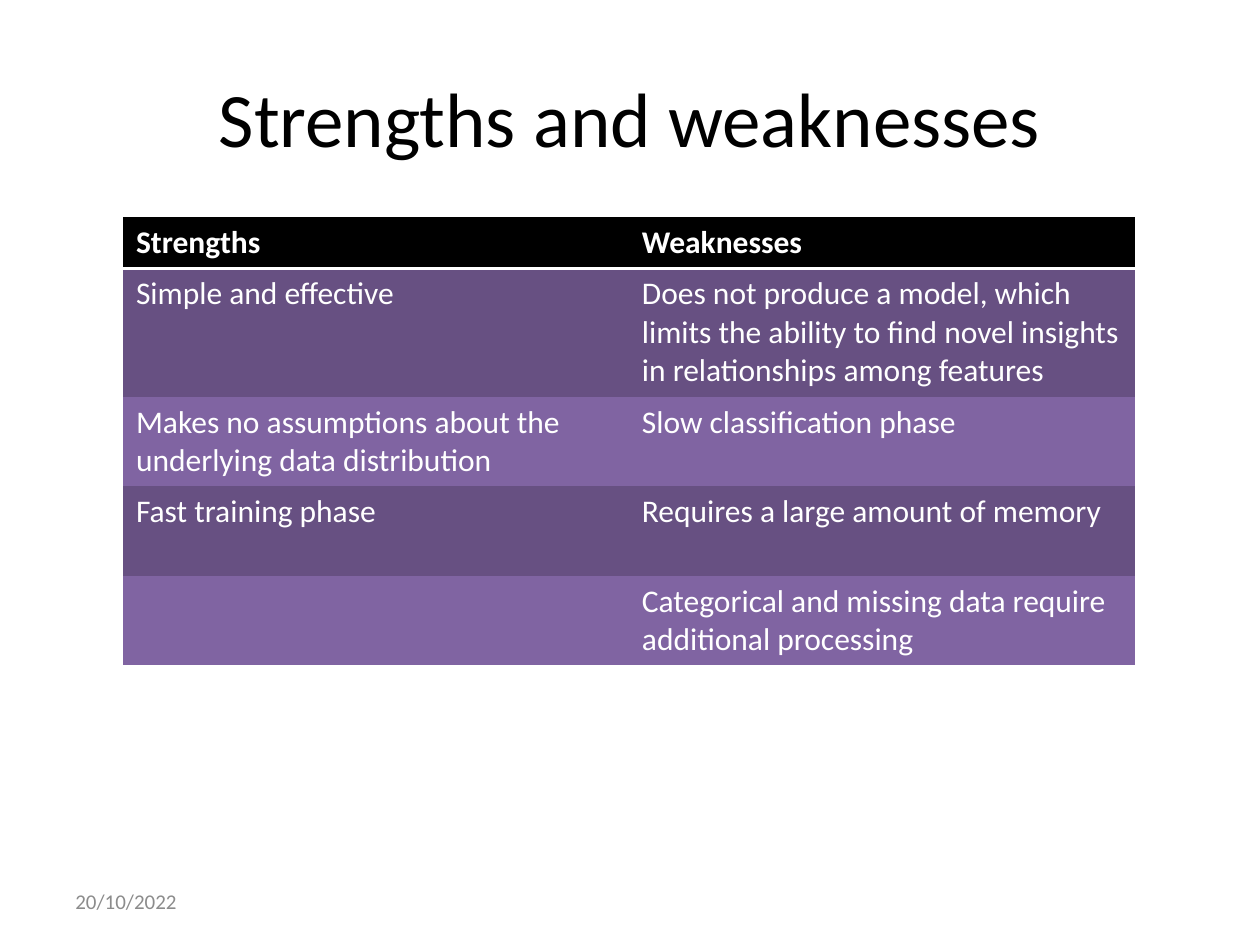
from lxml import etree
from pptx import Presentation
from pptx.dml.color import RGBColor
from pptx.enum.text import MSO_ANCHOR, PP_ALIGN
from pptx.oxml.ns import qn
from pptx.util import Inches, Pt

MIDDLE = MSO_ANCHOR.MIDDLE
LEFT, CENTER = PP_ALIGN.LEFT, PP_ALIGN.CENTER
FONT = "Calibri"
WHITE, BLACK, GREY = "FFFFFF", "000000", "8C8C8C"
BANDS = ["675082", "8064A2"]
NO_GRID = "{2D5ABB26-0587-4C30-8999-92F81FD0307C}"
ROWS = [
    (0.41, "Strengths", "Weaknesses"),
    (1.02, "Simple and effective",
     "Does not produce a model, which limits the ability to find novel "
     "insights in relationships among features"),
    (0.71, "Makes no assumptions about the underlying data distribution",
     "Slow classification phase"),
    (0.71, "Fast training phase", "Requires a large amount of memory"),
    (0.71, "", "Categorical and missing data require additional processing"),
]


def color(code):
    return RGBColor.from_string(code)


def write(frame, text, size, code, align=LEFT, bold=False):
    line = frame.paragraphs[0]
    line.alignment = align
    run = line.add_run()
    run.text = text
    font = run.font
    font.name, font.size, font.bold = FONT, Pt(size), bold
    font.color.rgb = color(code)


def add_title(slide, text):
    title = slide.shapes.title
    title.left, title.top = Inches(0.5), Inches(0.3)
    title.width, title.height = Inches(9), Inches(1.25)
    title.text_frame.vertical_anchor = MIDDLE
    write(title.text_frame, text, 44, BLACK, CENTER)


def add_date(slide, text):
    box = slide.shapes.add_textbox(
        Inches(0.5), Inches(6.95), Inches(2.33), Inches(0.4))
    frame = box.text_frame
    frame.word_wrap = True
    frame.vertical_anchor = MIDDLE
    write(frame, text, 12, GREY)


def rule_below(cell, code, width):
    props = cell._tc.get_or_add_tcPr()
    line = etree.Element(qn("a:lnB"), w=str(Pt(width)))
    fill = etree.SubElement(line, qn("a:solidFill"))
    etree.SubElement(fill, qn("a:srgbClr"), val=code)
    props.insert(0, line)


def add_grid(slide, rows):
    total = sum(row[0] for row in rows)
    table = slide.shapes.add_table(
        len(rows), 2, Inches(0.98), Inches(1.72),
        Inches(8.03), Inches(total)).table
    table.horz_banding = False
    table._tbl.tblPr.find(qn("a:tableStyleId")).text = NO_GRID
    for i, (height, *texts) in enumerate(rows):
        head = i == 0
        table.rows[i].height = Inches(height)
        for j, text in enumerate(texts):
            cell = table.cell(i, j)
            cell.fill.solid()
            cell.fill.fore_color.rgb = color(
                BLACK if head else BANDS[(i - 1) % 2])
            if text:
                write(cell.text_frame, text, 18, WHITE, bold=head)
            if head:
                rule_below(cell, WHITE, 2)


def main():
    deck = Presentation()
    deck.slide_width, deck.slide_height = Inches(10), Inches(7.5)
    slide = deck.slides.add_slide(deck.slide_layouts[5])
    add_title(slide, "Strengths and weaknesses")
    add_date(slide, "20/10/2022")
    add_grid(slide, ROWS)
    deck.save("out.pptx")


if __name__ == "__main__":
    main()
